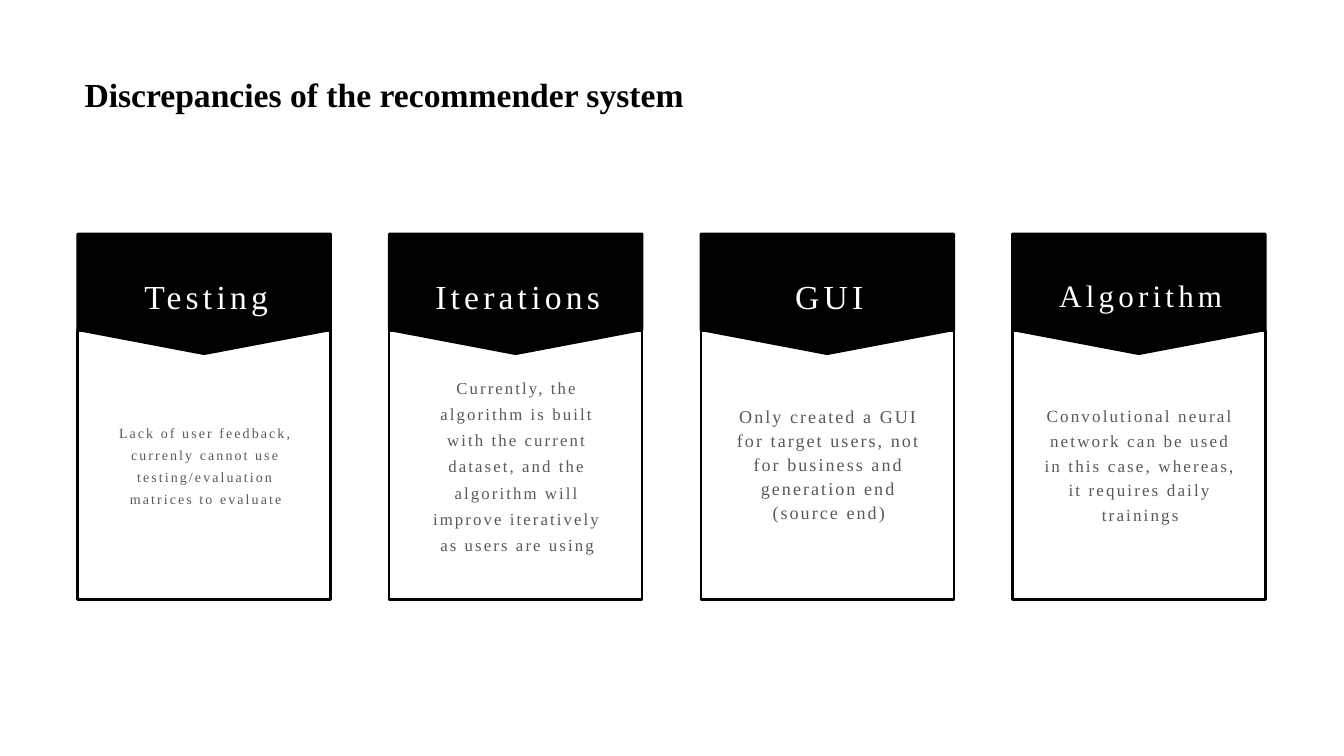
"""Build a slide of four bannered cards on recommender system discrepancies."""
from dataclasses import dataclass

import pptx
import pptx.dml.color
import pptx.enum.shapes
import pptx.enum.text
import pptx.shapes.autoshape
import pptx.slide
import pptx.util

Inches = pptx.util.Inches
SHAPES = pptx.enum.shapes.MSO_SHAPE
ALIGN = pptx.enum.text.PP_ALIGN
ANCHOR = pptx.enum.text.MSO_ANCHOR

COLORS = {"black": "000000", "white": "FFFFFF", "body": "595959"}
FONT = "Times New Roman"
CARD_LEFT, CARD_PITCH, CARD_WIDTH = 0.77, 3.09, 2.51


@dataclass(frozen=True)
class Box:
    left: float
    top: float
    width: float
    height: float


@dataclass(frozen=True)
class TextStyle:
    size: float
    color: str
    bold: bool = False
    tracking: float = 0
    line_spacing: float = 1.0
    align: ALIGN = ALIGN.CENTER
    anchor: ANCHOR = ANCHOR.MIDDLE


@dataclass(frozen=True)
class Card:
    heading: str
    body: str
    body_size: float
    body_spacing: float = 1.3
    heading_size: float = 24


CARDS = [
    Card("Testing", "Lack of user feedback, currenly cannot use "
         "testing/evaluation matrices to evaluate", 10),
    Card("Iterations", "Currently, the algorithm is built with the current dataset, "
         "and the algorithm will improve iteratively as users are using", 12),
    Card("GUI", "Only created a GUI for target users, not for business "
         "and generation end (source end)", 12.9, 1.1),
    Card("Algorithm", "Convolutional neural network can be used in this case, "
         "whereas, it requires daily trainings", 12.2, 1.2, 22.2),
]


def rgb(name: str) -> pptx.dml.color.RGBColor:
    return pptx.dml.color.RGBColor.from_string(COLORS[name])


def add_outlined_shape(slide: pptx.slide.Slide, kind: SHAPES,
                       box: Box) -> pptx.shapes.autoshape.Shape:
    shape = slide.shapes.add_shape(kind, Inches(box.left), Inches(box.top),
                                   Inches(box.width), Inches(box.height))
    shape.shadow.inherit = False
    shape.fill.background()
    shape.line.color.rgb = rgb("black")
    shape.line.width = pptx.util.Pt(1.75)
    return shape


def add_text(slide: pptx.slide.Slide, text: str, box: Box, style: TextStyle) -> None:
    shape = slide.shapes.add_textbox(Inches(box.left), Inches(box.top),
                                     Inches(box.width), Inches(box.height))
    text_frame = shape.text_frame
    text_frame.text = text
    text_frame.word_wrap = True
    text_frame.vertical_anchor = style.anchor
    paragraph = text_frame.paragraphs[0]
    paragraph.alignment = style.align
    paragraph.line_spacing = style.line_spacing
    run = paragraph.runs[0]
    run.font.name = FONT
    run.font.size = pptx.util.Pt(style.size)
    run.font.bold = style.bold
    run.font.color.rgb = rgb(style.color)
    run._r.get_or_add_rPr().set("spc", str(round(style.tracking * 100)))


def add_card(slide: pptx.slide.Slide, card: Card, left: float) -> None:
    add_outlined_shape(slide, SHAPES.RECTANGLE, Box(left, 3.28, CARD_WIDTH, 2.67))
    banner = add_outlined_shape(slide, SHAPES.FLOWCHART_OFFPAGE_CONNECTOR,
                                Box(left, 2.32, CARD_WIDTH, 1.19))
    banner.fill.solid()
    banner.fill.fore_color.rgb = rgb("black")
    add_text(slide, card.heading, Box(left + 0.31, 2.51, 1.93, 0.73),
             TextStyle(card.heading_size, "white", tracking=3, line_spacing=1.3))
    add_text(slide, card.body, Box(left + 0.22, 3.95, 2.1, 1.29),
             TextStyle(card.body_size, "body", tracking=1.5,
                       line_spacing=card.body_spacing))


def main() -> None:
    presentation = pptx.Presentation()
    presentation.slide_width = Inches(13.33)
    presentation.slide_height = Inches(7.5)
    slide = presentation.slides.add_slide(presentation.slide_layouts[6])
    for index, card in enumerate(CARDS):
        add_card(slide, card, CARD_LEFT + index * CARD_PITCH)
    add_text(slide, "Discrepancies of the recommender system", Box(0.74, 0.68, 9.6, 0.5),
             TextStyle(24, "black", bold=True, align=ALIGN.LEFT, anchor=ANCHOR.TOP))
    presentation.save("out.pptx")


if __name__ == "__main__":
    main()
